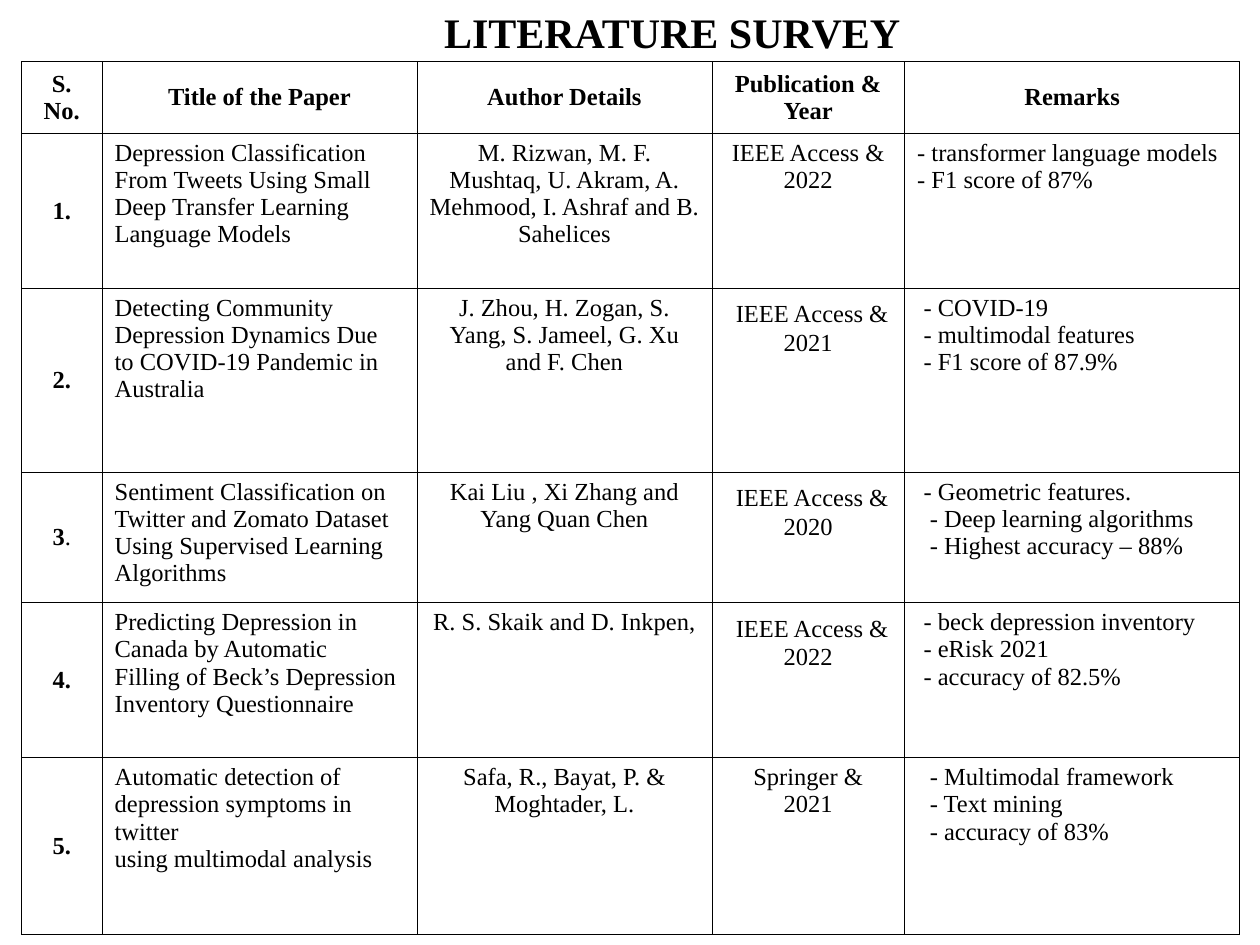
from lxml import etree
from pptx import Presentation
from pptx import util as u
from pptx.dml.color import RGBColor
from pptx.enum import text
from pptx.oxml.ns import qn

FONT = "Times New Roman"
BLACK = "000000"
CENTER, LEFT, JUSTIFY = (
    text.PP_ALIGN.CENTER, text.PP_ALIGN.LEFT, text.PP_ALIGN.JUSTIFY)
SPACER = ("\u00a0", 18, False)  # tall first character that lowers its line

COLUMN_WIDTHS = [0.64, 2.5, 2.34, 1.53, 2.66]
ROW_HEIGHTS = [0.57, 1.23, 1.46, 1.03, 1.23, 1.4]
COLUMN_ALIGNS = [CENTER, LEFT, CENTER, CENTER, JUSTIFY]

HEADINGS = [["S.", "No."], ["Title of the Paper"], ["Author Details"],
            ["Publication & Year"], ["Remarks"]]

# Per paper: title, authors, publication, remarks, indents of the remarks.
PAPERS = [
    (["Depression Classification From Tweets Using Small Deep Transfer "
      "Learning Language Models"],
     ["M. Rizwan, M. F. Mushtaq, U. Akram, A. Mehmood, I. Ashraf and "
      "B. Sahelices"],
     ["IEEE Access & 2022"],
     ["- transformer language models", "- F1 score of 87%"],
     [0, 0]),
    (["Detecting Community Depression Dynamics Due",
      "to COVID-19 Pandemic in Australia"],
     ["J. Zhou, H. Zogan, S. Yang, S. Jameel, G. Xu and F. Chen"],
     [[SPACER, "IEEE Access & 2021"]],
     ["- COVID-19", "- multimodal features", "- F1 score of 87.9%"],
     [0.05, 0.05, 0.05]),
    (["Sentiment Classification on Twitter and Zomato Dataset Using "
      "Supervised Learning Algorithms"],
     ["Kai Liu , Xi Zhang and Yang Quan Chen"],
     [[SPACER, "IEEE Access & 2020"]],
     ["- Geometric features.", "- Deep learning algorithms",
      "- Highest accuracy – 88%"],
     [0.05, 0.1, 0.1]),
    (["Predicting Depression in Canada by Automatic",
      "Filling of Beck’s Depression", "Inventory Questionnaire"],
     ["R. S. Skaik and D. Inkpen,"],
     [[SPACER, "IEEE Access & 2022"]],
     ["- beck depression inventory", "- eRisk 2021", "- accuracy of 82.5%"],
     [0.05, 0.05, 0.05]),
    (["Automatic detection of depression symptoms in twitter",
      "using multimodal analysis"],
     ["Safa, R., Bayat, P. & Moghtader, L."],
     ["Springer &", "2021"],
     ["- Multimodal framework", "- Text mining", "- accuracy of 83%"],
     [0.1, 0.1, 0.1]),
]


def color(value):
    return RGBColor.from_string(value)


def add_span(para, words, size=14, bold=False):
    span = para.add_run()
    span.text = words
    span.font.name = FONT
    span.font.size = u.Pt(size)
    span.font.bold = bold
    span.font.color.rgb = color(BLACK)


def write_paragraphs(frame, paragraphs, align, bold=False, indents=None):
    """Each paragraph is a string or a list of strings and (words, size, bold)."""
    for index, content in enumerate(paragraphs):
        para = frame.paragraphs[0] if index == 0 else frame.add_paragraph()
        para.alignment = align
        if indents and indents[index]:
            para._p.get_or_add_pPr().set(
                "marL", str(u.Inches(indents[index])))
        for part in [content] if isinstance(content, str) else content:
            if isinstance(part, str):
                part = (part, 14, bold)
            add_span(para, *part)


def set_borders(cell, value=BLACK, width=0.45):
    properties = cell._tc.get_or_add_tcPr()
    for index, side in enumerate(("lnL", "lnR", "lnT", "lnB")):
        line = etree.Element(qn(f"a:{side}"), w=str(u.Pt(width)))
        fill = etree.SubElement(line, qn("a:solidFill"))
        etree.SubElement(fill, qn("a:srgbClr"), val=value)
        properties.insert(index, line)


def fill_cell(cell, paragraphs, align, middle=False, bold=False, indents=None):
    cell.fill.background()
    set_borders(cell)
    cell.vertical_anchor = (
        text.MSO_ANCHOR.MIDDLE if middle else text.MSO_ANCHOR.TOP)
    write_paragraphs(cell.text_frame, paragraphs, align, bold, indents)


def add_title(page, words):
    box = page.shapes.add_textbox(
        u.Inches(0.5), u.Inches(-0.18), u.Inches(9.67), u.Inches(0.67))
    frame = box.text_frame
    frame.word_wrap = True
    frame.vertical_anchor = text.MSO_ANCHOR.MIDDLE
    write_paragraphs(frame, [[(words, 24, True)]], CENTER)
    frame.paragraphs[0].line_spacing = 1.5


def add_survey_table(page):
    table = page.shapes.add_table(
        len(ROW_HEIGHTS), len(COLUMN_WIDTHS), u.Inches(0.17), u.Inches(0.49),
        u.Inches(sum(COLUMN_WIDTHS)), u.Inches(sum(ROW_HEIGHTS))).table
    table.first_row = False
    table.horz_banding = False
    for column, width in zip(table.columns, COLUMN_WIDTHS):
        column.width = u.Inches(width)
    for row, height in zip(table.rows, ROW_HEIGHTS):
        row.height = u.Inches(height)

    for column, heading in enumerate(HEADINGS):
        fill_cell(table.cell(0, column), heading, CENTER, True, True)
    for number, (*details, indents) in enumerate(PAPERS, 1):
        label = [str(number), (".", 14, False)] if number == 3 else f"{number}."
        fill_cell(table.cell(number, 0), [label], CENTER, True, True)
        for column, paragraphs in enumerate(details, 1):
            fill_cell(table.cell(number, column), paragraphs,
                      COLUMN_ALIGNS[column],
                      indents=indents if column == len(details) else None)


def main():
    deck = Presentation()
    deck.slide_width = u.Inches(10)
    deck.slide_height = u.Inches(7.5)
    page = deck.slides.add_slide(deck.slide_layouts[6])
    add_title(page, "LITERATURE SURVEY")
    add_survey_table(page)
    deck.save("out.pptx")


if __name__ == "__main__":
    main()
